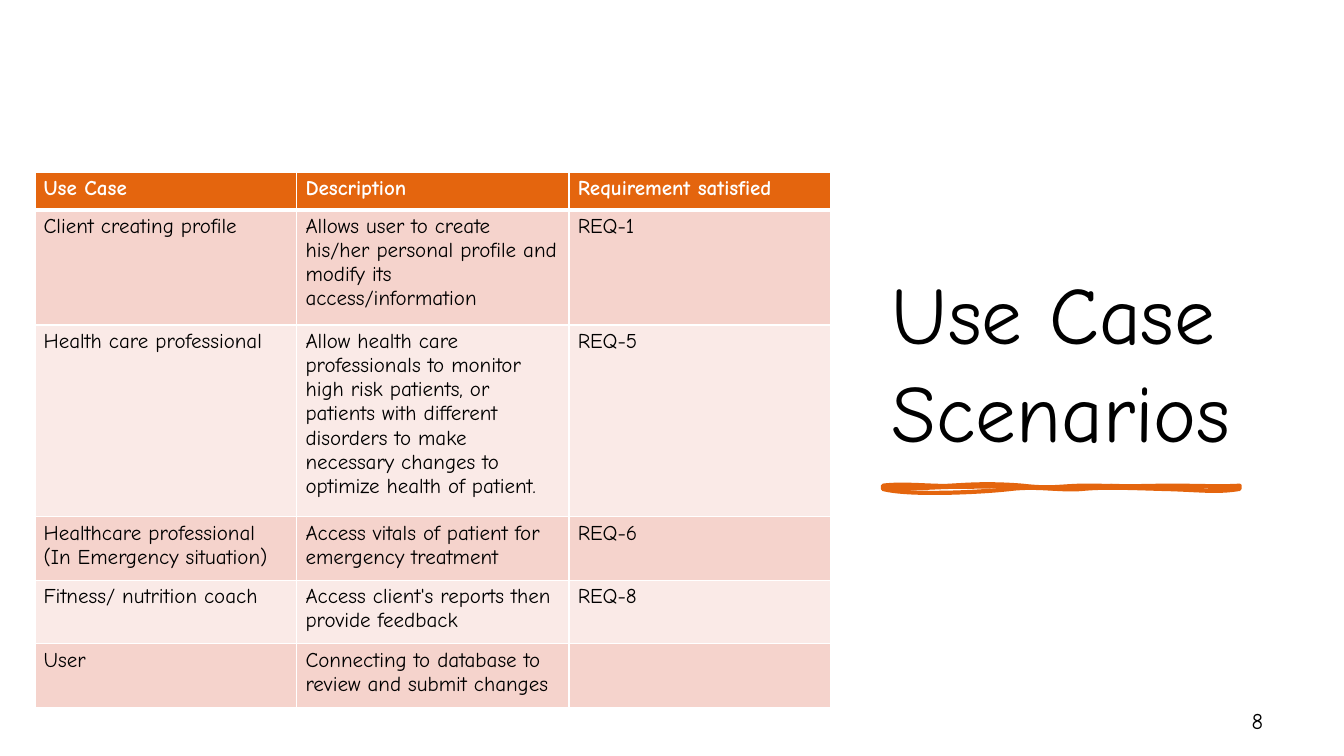
from dataclasses import dataclass
from typing import NamedTuple

from lxml import etree
from pptx import Presentation
from pptx.dml.color import RGBColor
from pptx.enum.shapes import MSO_SHAPE
from pptx.enum.text import MSO_ANCHOR, PP_ALIGN
from pptx.oxml.ns import qn
from pptx.util import Cm, Pt

LEFT, RIGHT = PP_ALIGN.LEFT, PP_ALIGN.RIGHT
TOP, MIDDLE, BOTTOM = MSO_ANCHOR.TOP, MSO_ANCHOR.MIDDLE, MSO_ANCHOR.BOTTOM
RECTANGLE = MSO_SHAPE.RECTANGLE

FONT = "Comic Neue"
ORANGE, WHITE, BLACK = "E4650E", "FFFFFF", "000000"
BANDS = ("F5D3CC", "FAEAE7")


class UseCase(NamedTuple):
    name: str
    description: str
    requirement: str
    height: float


@dataclass
class Label:
    text: str
    left: float
    top: float
    width: float
    height: float
    size: float
    anchor: MSO_ANCHOR
    align: PP_ALIGN = LEFT
    after: float = 0


@dataclass
class Stroke:
    points: list[tuple[float, float]]  # start, then three points per curve
    hidden_part: str  # the path attribute that turns off its fill or outline
    value: str


USE_CASES = [
    UseCase("Use Case", "Description", "Requirement satisfied", 0.94),
    UseCase("Client creating profile",
            "Allows user to create his/her personal profile and modify its access/information",
            "REQ-1", 2.9),
    UseCase("Health care professional",
            "Allow health care professionals to monitor high risk patients, or patients with "
            "different disorders to make necessary changes to optimize health of patient.",
            "REQ-5", 4.83),
    UseCase("Healthcare professional (In Emergency situation)",
            "Access vitals of patient for emergency treatment", "REQ-6", 1.6),
    UseCase("Fitness/ nutrition coach",
            "Access client's reports then provide feedback", "REQ-8", 1.6),
    UseCase("User", "Connecting to database to review and submit changes", "", 1.6),
]
COLUMN_WIDTHS = (6.6, 6.86, 6.6)

LABELS = [
    Label("Use Case Scenarios", 22.23, 1.78, 9.9, 9.9, 58, BOTTOM),
    Label("8", 27, 17.65, 5.08, 1.02, 16, MIDDLE, RIGHT, after=6),
]

# Hand-drawn underline, in cm
UNDERLINE = [
    Stroke([(22.25, 12.24), (22.78, 12.17), (23.57, 12.27), (23.95, 12.24),
            (24.33, 12.22), (24.89, 12.17), (25.76, 12.24),
            (26.62, 12.34), (26.75, 12.22), (27.64, 12.24),
            (28.55, 12.27), (28.88, 12.24), (29.54, 12.24),
            (30.2, 12.24), (30.76, 12.27), (31.24, 12.24),
            (31.24, 12.27), (31.24, 12.32), (31.24, 12.32),
            (30.63, 12.42), (30.23, 12.34), (29.26, 12.32),
            (28.3, 12.29), (27.81, 12.27), (27.28, 12.32),
            (26.75, 12.37), (26.16, 12.24), (25.48, 12.32),
            (24.82, 12.4), (22.91, 12.5), (22.25, 12.32),
            (22.23, 12.29), (22.25, 12.27), (22.25, 12.24)], "fill", "none"),
    Stroke([(22.25, 12.24), (23.06, 12.22), (23.11, 12.24), (23.95, 12.24),
            (24.79, 12.27), (25.02, 12.22), (25.48, 12.24),
            (25.93, 12.27), (26.8, 12.34), (27.46, 12.24),
            (28.12, 12.14), (28.7, 12.24), (29.18, 12.24),
            (29.64, 12.24), (30.25, 12.32), (31.24, 12.24),
            (31.24, 12.29), (31.24, 12.29), (31.24, 12.32),
            (30.61, 12.24), (30, 12.37), (29.44, 12.32),
            (28.88, 12.27), (28.4, 12.24), (27.46, 12.32),
            (26.54, 12.4), (26.47, 12.34), (25.93, 12.32),
            (25.4, 12.29), (24.79, 12.32), (24.13, 12.32),
            (23.47, 12.32), (22.99, 12.4), (22.25, 12.32),
            (22.25, 12.29), (22.25, 12.29), (22.25, 12.24)], "stroke", "0"),
]


def color(value: str) -> RGBColor:
    return RGBColor.from_string(value)


def paint(target, value: str) -> None:
    target.fill.solid()
    target.fill.fore_color.rgb = color(value)


def add_span(para, text: str, size: float, ink: str, bold: bool = False) -> None:
    span = para.add_run()
    span.text = text
    span.font.name, span.font.size, span.font.bold = FONT, Pt(size), bold
    span.font.color.rgb = color(ink)


def add_label(page, label: Label) -> None:
    box = page.shapes.add_textbox(Cm(label.left), Cm(label.top),
                                  Cm(label.width), Cm(label.height))
    frame = box.text_frame
    frame.word_wrap, frame.vertical_anchor = True, label.anchor
    para = frame.paragraphs[0]
    para.alignment, para.space_after = label.align, Pt(label.after)
    add_span(para, label.text, label.size, BLACK)


def add_underline(page, strokes: list[Stroke]) -> None:
    """Draw all strokes as one freeform with a curved path for each."""
    outlines = [[(Cm(x), Cm(y)) for x, y in stroke.points] for stroke in strokes]
    builder = page.shapes.build_freeform(*outlines[0][0])
    for index, outline in enumerate(outlines):
        if index:
            builder.move_to(*outline[0])
        builder.add_line_segments(outline[1:], close=True)
    shape = builder.convert_to_shape()
    shape.shadow.inherit = False
    paint(shape, ORANGE)
    shape.line.color.rgb = color(ORANGE)
    shape.line.width = Pt(3)

    # Give each stroke its own path and turn point triples into curves
    joint = next(shape._element.iter(qn("a:path")))
    vertices = iter(list(joint.iter(qn("a:pt"))))
    for stroke in strokes:
        path = etree.SubElement(joint.getparent(), qn("a:path"), w=joint.get("w"),
                                h=joint.get("h"))
        path.set(stroke.hidden_part, stroke.value)
        etree.SubElement(path, qn("a:moveTo")).append(next(vertices))
        for _ in range(len(stroke.points) // 3):
            curve = etree.SubElement(path, qn("a:cubicBezTo"))
            for _ in range(3):
                curve.append(next(vertices))
        etree.SubElement(path, qn("a:close"))
    joint.getparent().remove(joint)


def set_borders(cell, top: float, bottom: float) -> None:
    properties = cell._tc.get_or_add_tcPr()
    for side, width in (("L", 1), ("R", 1), ("T", top), ("B", bottom)):
        line = etree.SubElement(properties, qn(f"a:ln{side}"), w=str(Pt(width)))
        fill = etree.SubElement(line, qn("a:solidFill"))
        etree.SubElement(fill, qn("a:srgbClr"), val=WHITE)


def add_use_case_table(page) -> None:
    height = sum(case.height for case in USE_CASES)
    table = page.shapes.add_table(len(USE_CASES), len(COLUMN_WIDTHS), Cm(0.88), Cm(4.35),
                                  Cm(sum(COLUMN_WIDTHS)), Cm(height)).table
    for column, width in zip(table.columns, COLUMN_WIDTHS):
        column.width = Cm(width)
    for index, case in enumerate(USE_CASES):
        header = index == 0
        table.rows[index].height = Cm(case.height)
        texts = (case.name, case.description, case.requirement)
        for cell, text in zip(table.rows[index].cells, texts):
            set_borders(cell, 3 if index == 1 else 1, 3 if header else 1)
            paint(cell, ORANGE if header else BANDS[(index - 1) % 2])
            cell.vertical_anchor = TOP
            cell.margin_left = cell.margin_right = Cm(0.22)
            cell.margin_top = cell.margin_bottom = Cm(0.11)
            if text:
                add_span(cell.text_frame.paragraphs[0], text, 15,
                         WHITE if header else BLACK, header)


def main() -> None:
    deck = Presentation()
    deck.slide_width, deck.slide_height = Cm(33.87), Cm(19.05)
    page = deck.slides.add_slide(deck.slide_layouts[6])

    # White backdrop
    backdrop = page.shapes.add_shape(RECTANGLE, 0, 0, deck.slide_width, deck.slide_height)
    backdrop.shadow.inherit = False
    paint(backdrop, WHITE)
    backdrop.line.fill.background()
    # Title and page number
    for label in LABELS:
        add_label(page, label)
    # Underline below the title
    add_underline(page, UNDERLINE)
    # Use cases
    add_use_case_table(page)

    deck.save("out.pptx")


if __name__ == "__main__":
    main()
